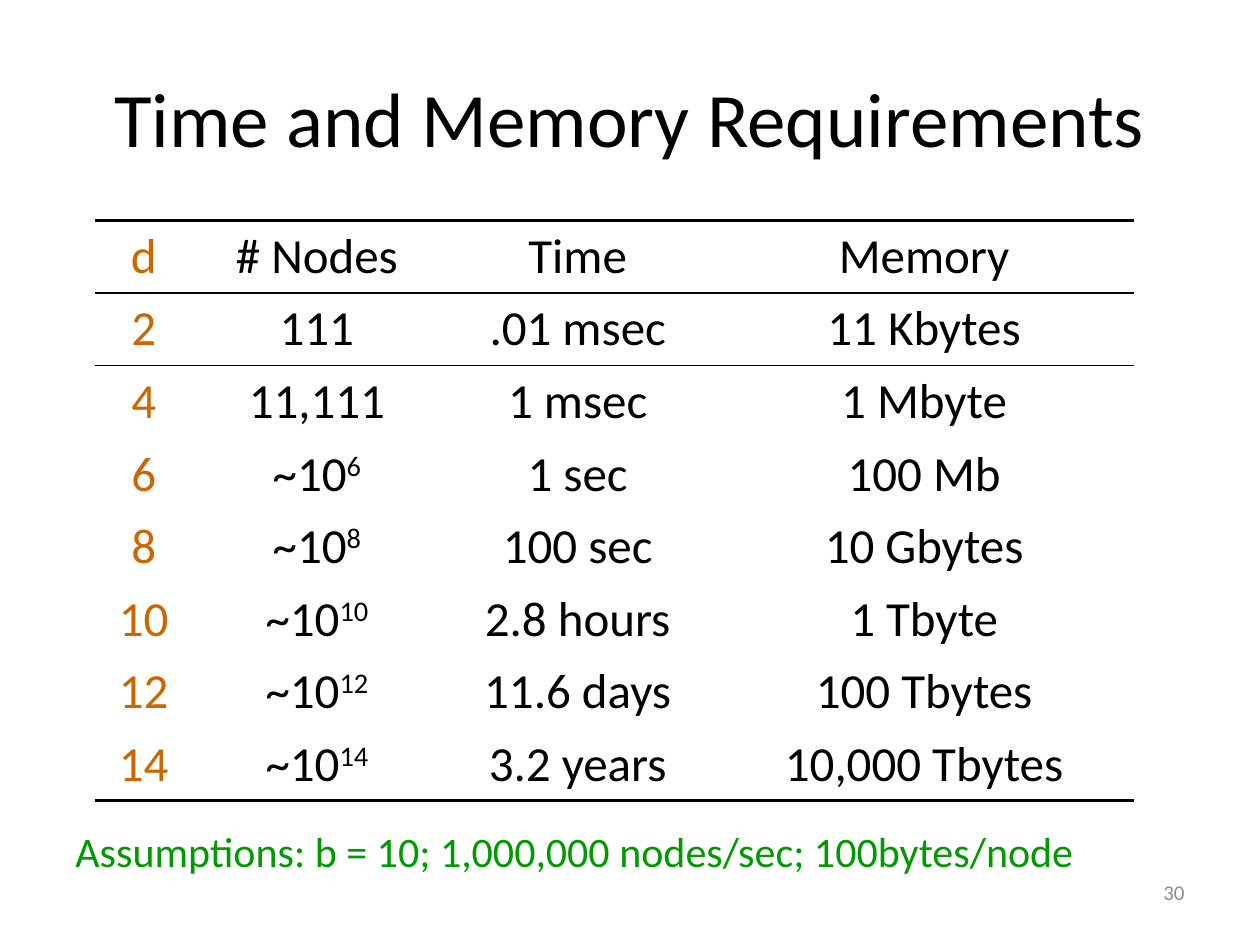
from lxml.etree import SubElement
from pptx import Presentation
from pptx.dml.color import RGBColor
from pptx.enum.text import MSO_ANCHOR, PP_ALIGN
from pptx.oxml.ns import qn
from pptx.util import Inches, Pt

BLACK = RGBColor(0x00, 0x00, 0x00)
ORANGE = RGBColor(0xCC, 0x66, 0x00)
GREEN = RGBColor(0x00, 0x99, 0x00)
GRAY = RGBColor(0x8C, 0x8C, 0x8C)
NO_STYLE = "{2D5ABB26-0587-4C30-8999-92F81FD0307C}"

WIDTH, HEIGHT = 10, 7.5
COLUMNS = [0.78, 1.97, 2.17, 3.33]
ROW_HEIGHT = 0.57
THICK, THIN = 2.25, 1

# A caret marks the start of an exponent
ROWS = [
    ["d", "# Nodes", "Time", "Memory"],
    ["2", "111", ".01 msec", "11 Kbytes"],
    ["4", "11,111", "1 msec", "1 Mbyte"],
    ["6", "~10^6", "1 sec", "100 Mb"],
    ["8", "~10^8", "100 sec", "10 Gbytes"],
    ["10", "~10^10", "2.8 hours", "1 Tbyte"],
    ["12", "~10^12", "11.6 days", "100 Tbytes"],
    ["14", "~10^14", "3.2 years", "10,000 Tbytes"],
]


class SlideBuilder:
    """Holds the style and the current slide; lengths are in inches."""

    font = "Calibri"

    def __init__(self, prs):
        self.s = prs.slides.add_slide(prs.slide_layouts[5])

    def fill_paragraph(self, p, text, size, color, align):
        base, _, exponent = text.partition("^")
        p.add_run().text = base
        if exponent:
            r = p.add_run()
            r.text = exponent
            r.font._element.set("baseline", "30000")
        p.alignment = align
        p.font.name, p.font.size = self.font, Pt(size)
        p.font.color.rgb = color

    def title(self, text, x, y, w, h):
        sp = self.s.shapes.title
        sp.left, sp.top, sp.width, sp.height = map(Inches, (x, y, w, h))
        tf = sp.text_frame
        tf.vertical_anchor = MSO_ANCHOR.MIDDLE
        self.fill_paragraph(tf.paragraphs[0], text, 44, BLACK, PP_ALIGN.CENTER)

    def text(self, text, x, y, w, h, size, color,
             align=PP_ALIGN.LEFT, anchor=MSO_ANCHOR.TOP, wrap=True):
        sp = self.s.shapes.add_textbox(*map(Inches, (x, y, w, h)))
        tf = sp.text_frame
        tf.word_wrap, tf.vertical_anchor = wrap, anchor
        self.fill_paragraph(tf.paragraphs[0], text, size, color, align)

    def border(self, cell, side, width):
        ln = SubElement(cell._tc.get_or_add_tcPr(), qn(f"a:ln{side}"), w=str(Pt(width)))
        fill = SubElement(ln, qn("a:solidFill"))
        SubElement(fill, qn("a:srgbClr"), val=str(BLACK))

    def table(self, rows, x, y, columns, row_height):
        frame = self.s.shapes.add_table(
            len(rows), len(columns), Inches(x), Inches(y),
            Inches(sum(columns)), Inches(row_height * len(rows)))
        table = frame.table
        table.first_row = table.horz_banding = False
        table._tbl.tblPr.find(qn("a:tableStyleId")).text = NO_STYLE
        for column, width in zip(table.columns, columns):
            column.width = Inches(width)

        # Rules above and below the header and under the last row
        rules = {0: THICK, 1: THIN, len(rows): THICK}
        for i, row in enumerate(rows):
            table.rows[i].height = Inches(row_height)
            for j, text in enumerate(row):
                cell = table.cell(i, j)
                for side, edge in (("T", i), ("B", i + 1)):
                    if edge in rules:
                        self.border(cell, side, rules[edge])
                cell.fill.background()
                self.fill_paragraph(cell.text_frame.paragraphs[0], text, 28,
                                    BLACK if j else ORANGE, PP_ALIGN.CENTER)


def main():
    prs = Presentation()
    prs.slide_width, prs.slide_height = Inches(WIDTH), Inches(HEIGHT)
    b = SlideBuilder(prs)
    margin = WIDTH / 20

    # Title and table
    b.title("Time and Memory Requirements", margin, 0.3, WIDTH - 2 * margin, HEIGHT / 6)
    b.table(ROWS, 0.75, 1.75, COLUMNS, ROW_HEIGHT)

    # Slide number and assumptions
    b.text("30", 7.17, 6.83, 2.33, 0.5, 12, GRAY, PP_ALIGN.RIGHT, MSO_ANCHOR.MIDDLE)
    b.text("Assumptions: b = 10; 1,000,000 nodes/sec; 100bytes/node",
           margin, 6.5, 8.21, 0.5, 24, GREEN, wrap=False)
    prs.save("out.pptx")


if __name__ == "__main__":
    main()
